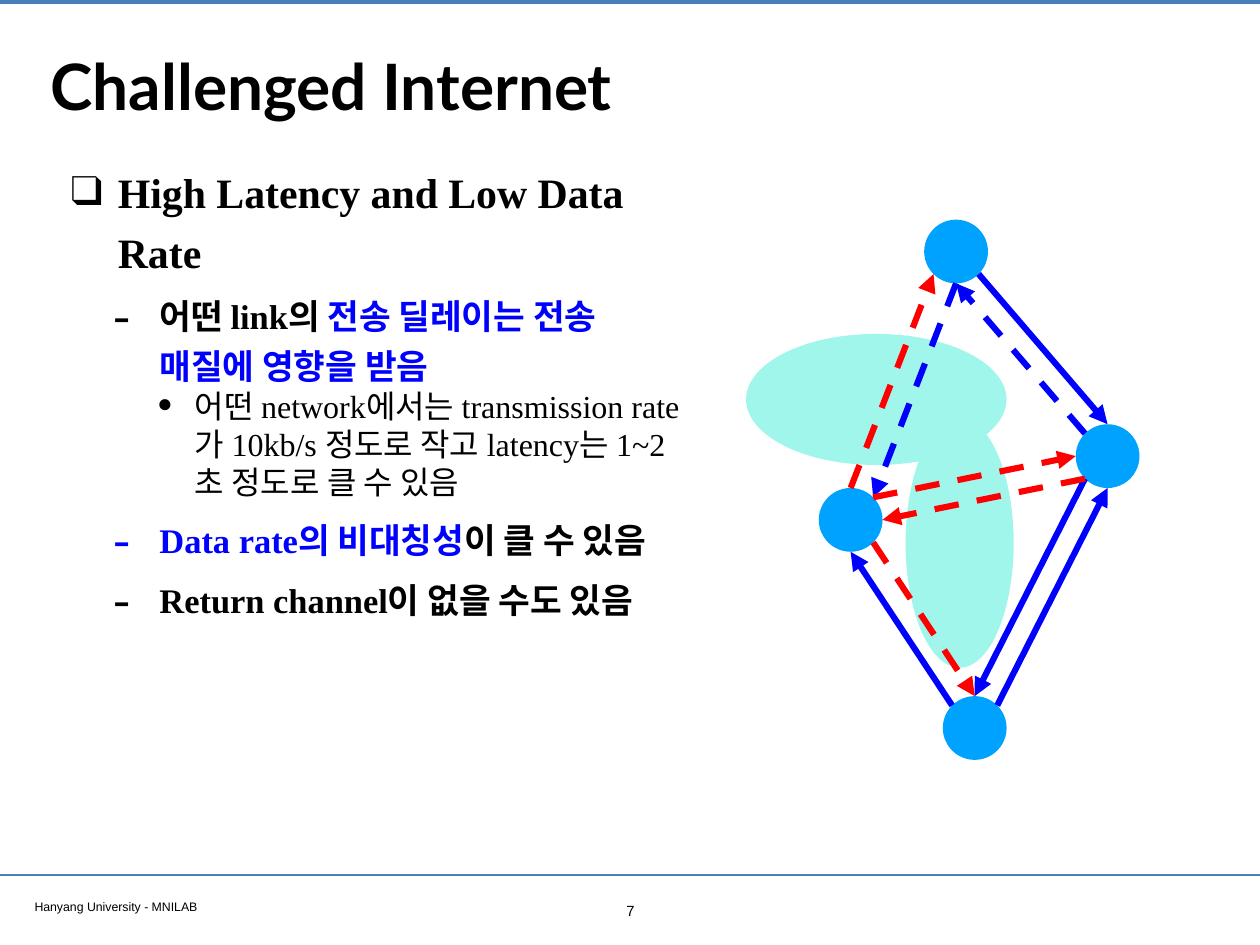
from dataclasses import dataclass
from math import cos, radians, sin

from lxml.etree import SubElement
from pptx import Presentation
from pptx.dml.color import RGBColor
from pptx.enum.dml import MSO_LINE
from pptx.enum.shapes import MSO_CONNECTOR, MSO_SHAPE
from pptx.enum.text import MSO_ANCHOR, MSO_AUTO_SIZE, PP_ALIGN
from pptx.oxml.ns import qn
from pptx.util import Inches, Pt


@dataclass(frozen=True)
class Theme:
    black: str = "000000"
    blue: str = "0000FF"
    red: str = "FF0000"
    node: str = "00A2FF"
    cloud: str = "A1F6EC"
    rule: str = "4A7EBB"
    title_font: str = "Lato"
    body_font: str = "Times New Roman"
    footer_font: str = "Arial"
    title_size: int = 52
    body_sizes: tuple = (34, 28, 26)
    footer_size: int = 10
    number_size: int = 12
    arrow_width: int = 5


THEME = Theme()
WIDTH, HEIGHT = 14.22, 10.67

# Outline levels: left margin, hanging indent, line spacing, space before, bullet, bullet size %
LEVELS = (
    (0.53, 0.53, 1.2, 8, "❑", 100),
    (1.0, 0.52, 1.2, 8, "-", 145),
    (1.4, 0.43, 1.0, 0, "•", 145),
)

# Each item: level, then (text, colour) runs
OUTLINE = (
    (0, ("High Latency and Low Data Rate", THEME.black)),
    (1, ("어떤 link의 ", THEME.black),
        ("전송 딜레이는 전송 매질에 영향을 받음", THEME.blue)),
    (2, ("어떤 network에서는 transmission rate가 10kb/s 정도로 작고 "
         "latency는 1~2초 정도로 클 수 있음", THEME.black)),
    (1, ("Data rate의 비대칭성", THEME.blue), ("이 클 수 있음", THEME.black)),
    (1, ("Return channel이 없을 수도 있음", THEME.black)),
)

# Network nodes by centre, and the compass points of their rims
NODE_SIZE = 0.72
NODES = {"top": (10.79, 2.84), "left": (9.6, 5.87),
         "right": (12.5, 5.15), "bottom": (11.0, 8.22)}
ANGLES = {"E": 0, "SE": 45, "S": 90, "SW": 135,
          "W": 180, "NW": 225, "N": 270, "NE": 315}

# Links: start node and rim point, end node and rim point, colour, dashed
LINKS = (
    ("top", "S", "left", "NE", THEME.blue, True),
    ("left", "N", "top", "SW", THEME.red, True),
    ("right", "SW", "bottom", "N", THEME.blue, False),
    ("bottom", "NE", "right", "S", THEME.blue, False),
    ("left", "NE", "right", "W", THEME.red, True),
    ("left", "SE", "bottom", "N", THEME.red, True),
    ("bottom", "NW", "left", "S", THEME.blue, False),
    ("right", "SW", "left", "E", THEME.red, True),
    ("right", "NW", "top", "S", THEME.blue, True),
    ("top", "SE", "right", "N", THEME.blue, False),
)


def place(sp, left, top, width, height):
    sp.left, sp.top = Inches(left), Inches(top)
    sp.width, sp.height = Inches(width), Inches(height)


def format_frame(tf, anchor=MSO_ANCHOR.TOP):
    tf.word_wrap = True
    tf.auto_size = MSO_AUTO_SIZE.NONE
    tf.vertical_anchor = anchor
    tf.margin_left = tf.margin_right = Inches(0.06)
    tf.margin_top = tf.margin_bottom = Inches(0.06)


def format_run(r, font, size, color=THEME.black, bold=False):
    r.font.name, r.font.size, r.font.bold = font, Pt(size), bold
    r.font.color.rgb = RGBColor.from_string(color)


def add_title(slide, text):
    sp = slide.shapes.title
    place(sp, 0.51, 0.28, 13.21, 1.35)
    tf = sp.text_frame
    tf.text = text
    format_frame(tf, MSO_ANCHOR.MIDDLE)
    p = tf.paragraphs[0]
    p.alignment = PP_ALIGN.LEFT
    format_run(p.runs[0], THEME.title_font, THEME.title_size, bold=True)


def format_level(p, level, first):
    margin, hanging, spacing, before, bullet, percent = LEVELS[level]
    p.level = level
    p.line_spacing = spacing
    p.space_before = Pt(0 if first else before)
    pPr = p._p.get_or_add_pPr()
    pPr.set("marL", str(Inches(margin)))
    pPr.set("indent", str(-Inches(hanging)))
    SubElement(pPr, qn("a:buSzPct"), val=str(percent * 1000))
    SubElement(pPr, qn("a:buFont"), typeface=THEME.body_font)
    SubElement(pPr, qn("a:buChar"), char=bullet)


def add_outline(slide, items):
    sp = slide.placeholders[1]
    place(sp, 0.74, 1.71, 7.16, 7.62)
    tf = sp.text_frame
    format_frame(tf)
    for i, (level, *runs) in enumerate(items):
        p = tf.add_paragraph() if i else tf.paragraphs[0]
        format_level(p, level, first=i == 0)
        for text, color in runs:
            r = p.add_run()
            r.text = text
            format_run(r, THEME.body_font, THEME.body_sizes[level], color, bold=level < 2)


def add_label(slide, box, text, size, align):
    sp = slide.shapes.add_textbox(*map(Inches, box))
    tf = sp.text_frame
    tf.text = text
    format_frame(tf)
    p = tf.paragraphs[0]
    p.alignment = align
    format_run(p.runs[0], THEME.footer_font, size)


def add_ellipse(slide, box, color):
    sp = slide.shapes.add_shape(MSO_SHAPE.OVAL, *map(Inches, box))
    sp.shadow.inherit = False
    sp.fill.solid()
    sp.fill.fore_color.rgb = RGBColor.from_string(color)
    sp.line.fill.background()


def add_line(slide, start, end, color, width):
    line = slide.shapes.add_connector(
        MSO_CONNECTOR.STRAIGHT, *map(Inches, (*start, *end)))
    line.line.color.rgb = RGBColor.from_string(color)
    line.line.width = Pt(width)
    SubElement(line._element.spPr, qn("a:effectLst"))
    return line


def rim_point(node, compass):
    x, y = NODES[node]
    angle = radians(ANGLES[compass])
    return x + NODE_SIZE / 2 * cos(angle), y + NODE_SIZE / 2 * sin(angle)


def add_link(slide, source, source_side, target, target_side, color, dashed):
    line = add_line(slide, rim_point(source, source_side),
                    rim_point(target, target_side), color, THEME.arrow_width)
    if dashed:
        line.line.dash_style = MSO_LINE.DASH
    SubElement(line.line._get_or_add_ln(), qn("a:tailEnd"), type="triangle")


def main():
    prs = Presentation()
    prs.slide_width, prs.slide_height = Inches(WIDTH), Inches(HEIGHT)
    slide = prs.slides.add_slide(prs.slide_layouts[1])

    # Page frame
    for y, width in ((0.02, 3.2), (9.88, 2)):
        add_line(slide, (0, y), (WIDTH, y), THEME.rule, width)
    add_label(slide, (0.33, 10.09, 5.46, 0.26), "Hanyang University - MNILAB",
              THEME.footer_size, PP_ALIGN.LEFT)
    add_label(slide, (6.92, 10.12, 0.39, 0.31), "7", THEME.number_size, PP_ALIGN.CENTER)

    # Title and outline
    add_title(slide, "Challenged Internet")
    add_outline(slide, OUTLINE)

    # Network diagram
    for box in ((10.22, 4.72, 1.22, 2.82), (8.42, 3.77, 2.94, 1.48)):
        add_ellipse(slide, box, THEME.cloud)
    for x, y in NODES.values():
        add_ellipse(slide, (x - NODE_SIZE / 2, y - NODE_SIZE / 2, NODE_SIZE, NODE_SIZE),
                    THEME.node)
    for link in LINKS:
        add_link(slide, *link)

    prs.save("out.pptx")


if __name__ == "__main__":
    main()
